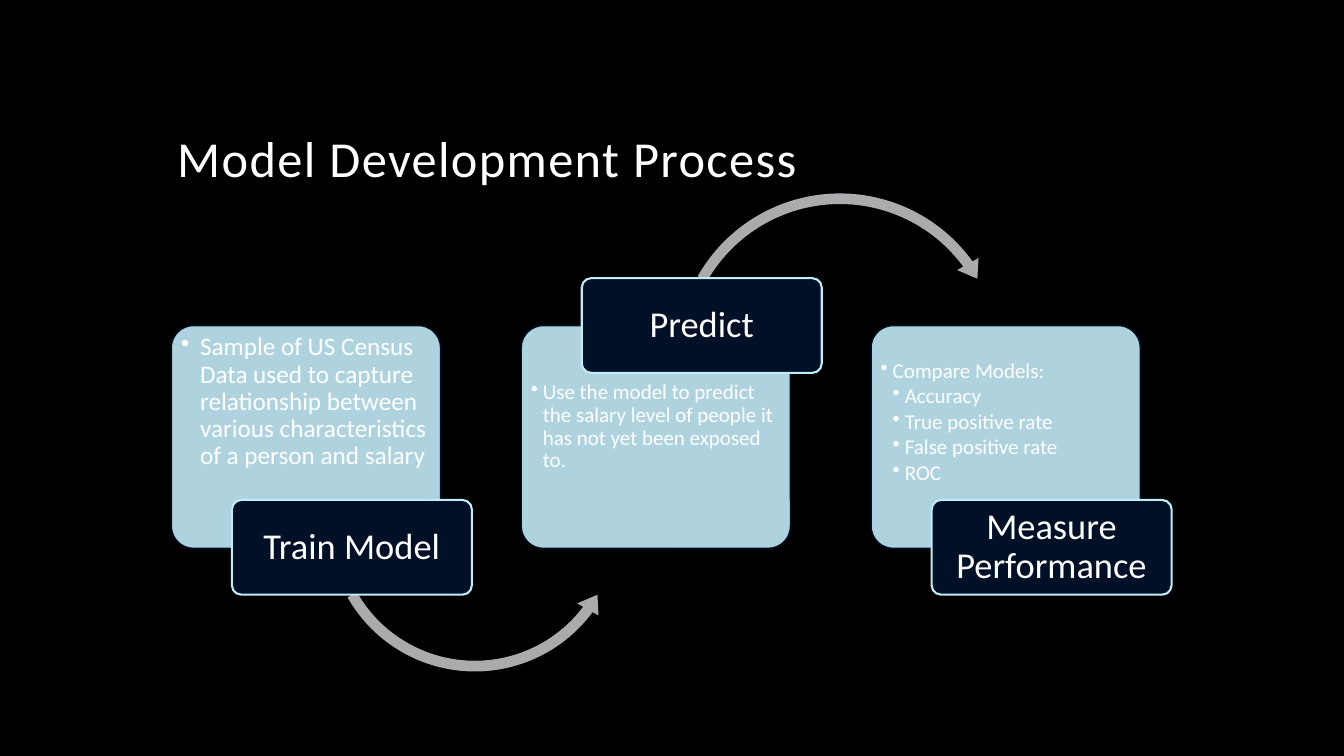
from dataclasses import dataclass
from typing import Optional

from lxml.etree import SubElement
from pptx import Presentation
from pptx.dml.color import RGBColor
from pptx.enum.shapes import MSO_SHAPE
from pptx.enum.text import MSO_ANCHOR, PP_ALIGN
from pptx.oxml.ns import qn
from pptx.util import Inches, Pt

FONT = "Calibri"
WHITE, BLACK, NAVY, ICE, GRAY = "FFFFFF", "000000", "001027", "C1EBF7", "ABABAD"
PANEL_LEFT, PANEL_TOP, PANEL_W, PANEL_H, PANEL_STEP = 1.7, 3.23, 2.67, 2.21, 3.47
LABEL_W, LABEL_H, LABEL_SHIFT = 2.38, 0.94, 0.6
LABEL_HIGH, LABEL_LOW = 2.76, 4.96


@dataclass
class Arrow:
    kind: MSO_SHAPE
    left: float
    top: float
    size: float
    adjustments: tuple[float, ...]


@dataclass
class Step:
    label: str
    label_top: float
    bullets: list[tuple[int, str]]  # level, text
    size: int
    hang: float
    text_top: float
    arrow: Optional[Arrow] = None


STEPS = [
    Step("Train Model", LABEL_LOW,
         [(1, "Sample of US Census Data used to capture relationship between "
              "various characteristics of a person and salary")],
         18, 0.19, 0.02,
         Arrow(MSO_SHAPE.LEFT_CIRCULAR_ARROW, 3.19, 3.69, 3.04,
               (0.035, 4.277, 22.032, 90.245, 0.04))),
    Step("Predict", LABEL_HIGH,
         [(1, "Use the model to predict the salary level of people it has not "
              "yet been exposed to.")],
         15, 0.12, 0.49,
         Arrow(MSO_SHAPE.CIRCULAR_ARROW, 6.64, 1.85, 3.38,
               (0.031, 3.813, 194.431, 125.755, 0.036))),
    Step("Measure Performance", LABEL_LOW,
         [(1, "Compare Models:"), (2, "Accuracy"), (2, "True positive rate"),
          (2, "False positive rate"), (2, "ROC")],
         15, 0.12, 0.28),
]


def color(value: str) -> RGBColor:
    return RGBColor.from_string(value)


def add_run(p, text: str, size: float):
    p.line_spacing = 0.9
    r = p.add_run()
    r.text = text
    r.font.name, r.font.size = FONT, Pt(size)
    r.font.color.rgb = color(WHITE)
    return r


def set_frame(tf, anchor: MSO_ANCHOR, left: float, top: float, right: float, bottom: float) -> None:
    tf.word_wrap = True
    tf.vertical_anchor = anchor
    tf.margin_left, tf.margin_top = Inches(left), Inches(top)
    tf.margin_right, tf.margin_bottom = Inches(right), Inches(bottom)


def add_filled(s, kind: MSO_SHAPE, left: float, top: float, width: float, height: float,
               fill: str, adjustments: tuple[float, ...],
               line: Optional[str] = None, line_width: float = 1):
    sp = s.shapes.add_shape(kind, Inches(left), Inches(top), Inches(width), Inches(height))
    sp.shadow.inherit = False
    for i, value in enumerate(adjustments):
        sp.adjustments[i] = value
    sp.fill.solid()
    sp.fill.fore_color.rgb = color(fill)
    if line:
        sp.line.color.rgb = color(line)
        sp.line.width = Pt(line_width)
    else:
        sp.line.fill.background()
    return sp


def add_panel(s, step: Step, left: float) -> None:
    sp = add_filled(s, MSO_SHAPE.ROUNDED_RECTANGLE, left, PANEL_TOP, PANEL_W, PANEL_H,
                    ICE, (0.1,), NAVY)
    fill = sp._element.spPr.find(qn("a:solidFill"))
    SubElement(fill[0], qn("a:alpha"), val="90000")
    tf = sp.text_frame
    set_frame(tf, MSO_ANCHOR.TOP, 0.03, step.text_top, 0.01, 0.02)
    for i, (level, text) in enumerate(step.bullets):
        p = tf.paragraphs[0] if i == 0 else tf.add_paragraph()
        p.level = level
        p.alignment = PP_ALIGN.LEFT
        p.space_before, p.space_after = Pt(0), Pt(2)
        add_run(p, text, step.size)
        pPr = p._p.get_or_add_pPr()
        pPr.set("marL", str(Inches(step.hang * level)))
        pPr.set("indent", str(-Inches(step.hang)))
        SubElement(pPr, qn("a:buChar"), char="•")


def add_label(s, step: Step, left: float) -> None:
    sp = add_filled(s, MSO_SHAPE.ROUNDED_RECTANGLE, left, step.label_top, LABEL_W, LABEL_H,
                    NAVY, (0.1,), ICE, 1.5)
    tf = sp.text_frame
    set_frame(tf, MSO_ANCHOR.MIDDLE, 0.05, 0.04, 0.05, 0.04)
    p = tf.paragraphs[0]
    p.alignment = PP_ALIGN.CENTER
    add_run(p, step.label, 26)


def add_title(s, text: str) -> None:
    sp = s.shapes.add_textbox(Inches(1.66), Inches(0.42), Inches(10), Inches(1.5))
    tf = sp.text_frame
    set_frame(tf, MSO_ANCHOR.BOTTOM, 0.1, 0.05, 0.1, 0.05)
    r = add_run(tf.paragraphs[0], text, 36)
    r.font._element.set("spc", "100")


def main() -> None:
    prs = Presentation()
    prs.slide_width, prs.slide_height = Inches(13.33), Inches(7.5)
    s = prs.slides.add_slide(prs.slide_layouts[6])
    s.background.fill.solid()
    s.background.fill.fore_color.rgb = color(BLACK)

    add_title(s, "Model Development Process")

    # Each step: panel, arrow to the next step, label on top
    for i, step in enumerate(STEPS):
        left = PANEL_LEFT + i * PANEL_STEP
        add_panel(s, step, left)
        if step.arrow:
            a = step.arrow
            add_filled(s, a.kind, a.left, a.top, a.size, a.size, GRAY, a.adjustments)
        add_label(s, step, left + LABEL_SHIFT)

    prs.save("out.pptx")


if __name__ == "__main__":
    main()
